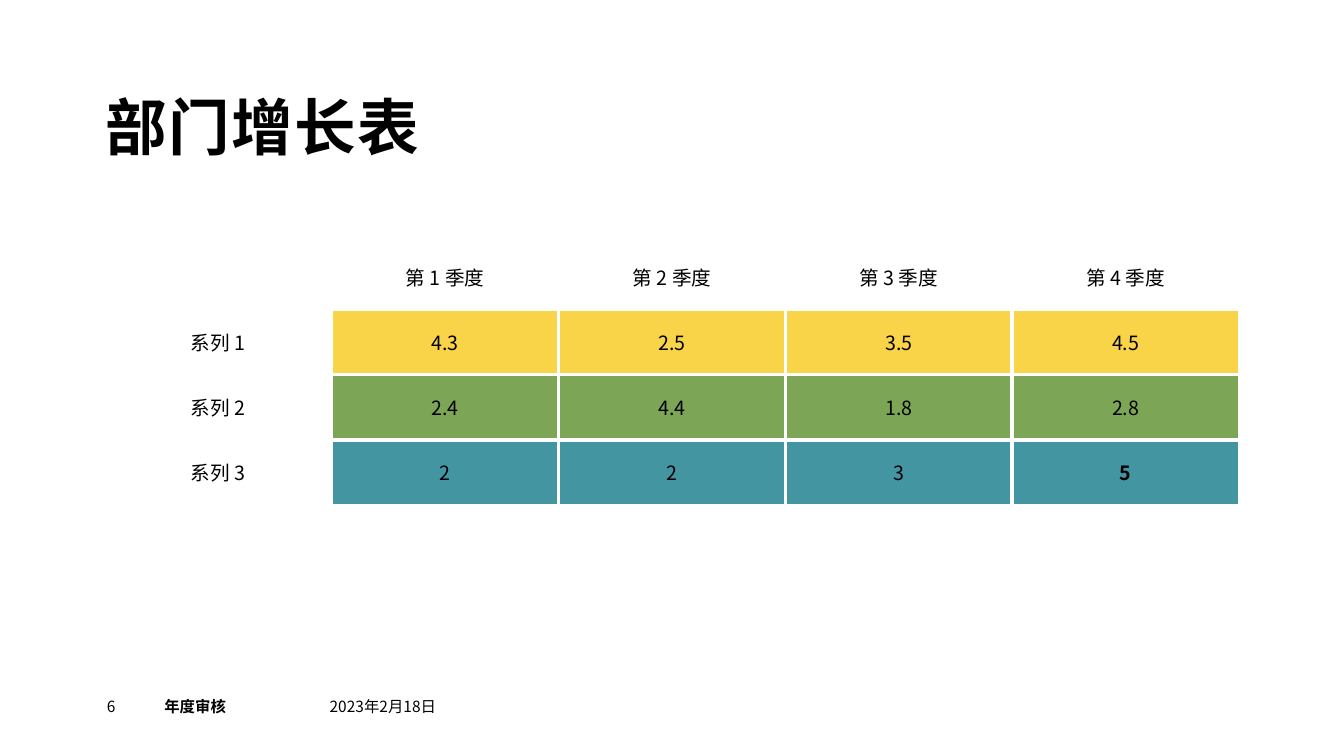
from lxml import etree
from pptx import Presentation
from pptx.dml.color import RGBColor
from pptx.enum.text import MSO_ANCHOR, MSO_AUTO_SIZE, PP_ALIGN
from pptx.oxml.ns import qn
from pptx.util import Inches, Pt

LEFT, CENTER = PP_ALIGN.LEFT, PP_ALIGN.CENTER
TOP, MIDDLE, BOTTOM = MSO_ANCHOR.TOP, MSO_ANCHOR.MIDDLE, MSO_ANCHOR.BOTTOM
NO_AUTOSIZE = MSO_AUTO_SIZE.NONE

BLACK = RGBColor(0x00, 0x00, 0x00)
WHITE = RGBColor(0xFF, 0xFF, 0xFF)
YELLOW = RGBColor(0xF9, 0xD4, 0x48)
GREEN = RGBColor(0x7C, 0xA6, 0x55)
TEAL = RGBColor(0x44, 0x95, 0xA2)

TITLE_FONT = "Karla"
BODY_FONT = "Noto Sans CJK SC"
OUTER_BORDER, INNER_BORDER = Pt(2.25), Pt(3)

QUARTERS = ["第 1 季度", "第 2 季度", "第 3 季度", "第 4 季度"]
SERIES = [
    ("系列 1", YELLOW, ["4.3", "2.5", "3.5", "4.5"]),
    ("系列 2", GREEN, ["2.4", "4.4", "1.8", "2.8"]),
    ("系列 3", TEAL, ["2", "2", "3", "5"]),
]
FOOTER = [
    ("6", 0, 0.57, False),
    ("年度审核", 0.57, 1.64, True),
    ("2023年2月18日", 2.21, 1.44, False),
]


def write_text(text_frame, text, size, name=BODY_FONT, bold=False, alignment=LEFT):
    """Write one formatted line and return its paragraph and run."""
    paragraph = text_frame.paragraphs[0]
    paragraph.alignment = alignment
    run = paragraph.add_run()
    run.text = text
    run.font.color.rgb = BLACK
    formats = {"size": Pt(size), "name": name, "bold": bold}
    for attribute, value in formats.items():
        setattr(run.font, attribute, value)
    east_asian = etree.SubElement(run.font._element, qn("a:ea"))
    east_asian.set("typeface", BODY_FONT)
    return paragraph, run


def format_frame(text_frame, anchor):
    """Give a text frame zero margins, wrapping and an anchor."""
    formats = {
        "margin_left": 0, "margin_top": 0, "margin_right": 0, "margin_bottom": 0,
        "word_wrap": True, "auto_size": NO_AUTOSIZE, "vertical_anchor": anchor,
    }
    for attribute, value in formats.items():
        setattr(text_frame, attribute, value)


def add_title(slide, left, top, width, height):
    """Place the slide title in its box."""
    title = slide.shapes.title
    box = {"left": left, "top": top, "width": width, "height": height}
    for attribute, value in box.items():
        setattr(title, attribute, Inches(value))
    format_frame(title.text_frame, BOTTOM)
    paragraph, run = write_text(title.text_frame, "部门增长表", 44, TITLE_FONT, True)
    paragraph.line_spacing = 0.9
    run.font._element.set("spc", "100")


def set_borders(cell, widths):
    """Draw white borders of the given widths, ahead of the cell fill."""
    properties = cell._tc.get_or_add_tcPr()
    for index, (side, width) in enumerate(widths.items()):
        line = etree.Element(qn(f"a:{side}"), w=str(width))
        fill = etree.SubElement(line, qn("a:solidFill"))
        etree.SubElement(fill, qn("a:srgbClr"), val=str(WHITE))
        properties.insert(index, line)


def add_growth_table(slide, left, top, width, height):
    """Add the table of quarterly growth by series."""
    rows = [("", None, QUARTERS)] + SERIES
    row_count, column_count = len(rows), len(QUARTERS) + 1
    frame = slide.shapes.add_table(
        row_count, column_count, Inches(left), Inches(top), Inches(width), Inches(height)
    )
    table = frame.table
    table.first_row = table.horz_banding = False
    for row_index, (label, color, values) in enumerate(rows):
        for column_index, text in enumerate([label] + values):
            cell = table.cell(row_index, column_index)
            cell.vertical_anchor = MIDDLE
            is_value = color is not None and column_index > 0
            if is_value:
                cell.fill.solid()
                cell.fill.fore_color.rgb = color
            else:
                cell.fill.background()
            if text:
                write_text(cell.text_frame, text, 14, bold=text == "5", alignment=CENTER)
            inner_sides = {
                "lnL": column_index > 1,
                "lnR": column_index < column_count - 1,
                "lnT": row_index > 1,
                "lnB": row_index < row_count - 1,
            }
            set_borders(cell, {
                side: INNER_BORDER if is_value and inner else OUTER_BORDER
                for side, inner in inner_sides.items()
            })


def add_footer(slide, left, top, height):
    """Add the page number, deck name and date along one line."""
    for text, offset, width, bold in FOOTER:
        shape = slide.shapes.add_textbox(
            Inches(left + offset), Inches(top), Inches(width), Inches(height)
        )
        format_frame(shape.text_frame, TOP)
        write_text(shape.text_frame, text, 11, bold=bold)


def main():
    """Build and save the presentation."""
    presentation = Presentation()
    presentation.slide_width = Inches(13.33)
    presentation.slide_height = Inches(7.5)
    slide = presentation.slides.add_slide(presentation.slide_layouts[5])
    slide.background.fill.solid()
    slide.background.fill.fore_color.rgb = WHITE
    add_title(slide, 1.05, 0.96, 8.27, 0.67)
    add_growth_table(slide, 1.04, 2.42, 11.25, 2.59)
    add_footer(slide, 1.06, 6.92, 0.27)
    presentation.save("out.pptx")


if __name__ == "__main__":
    main()
